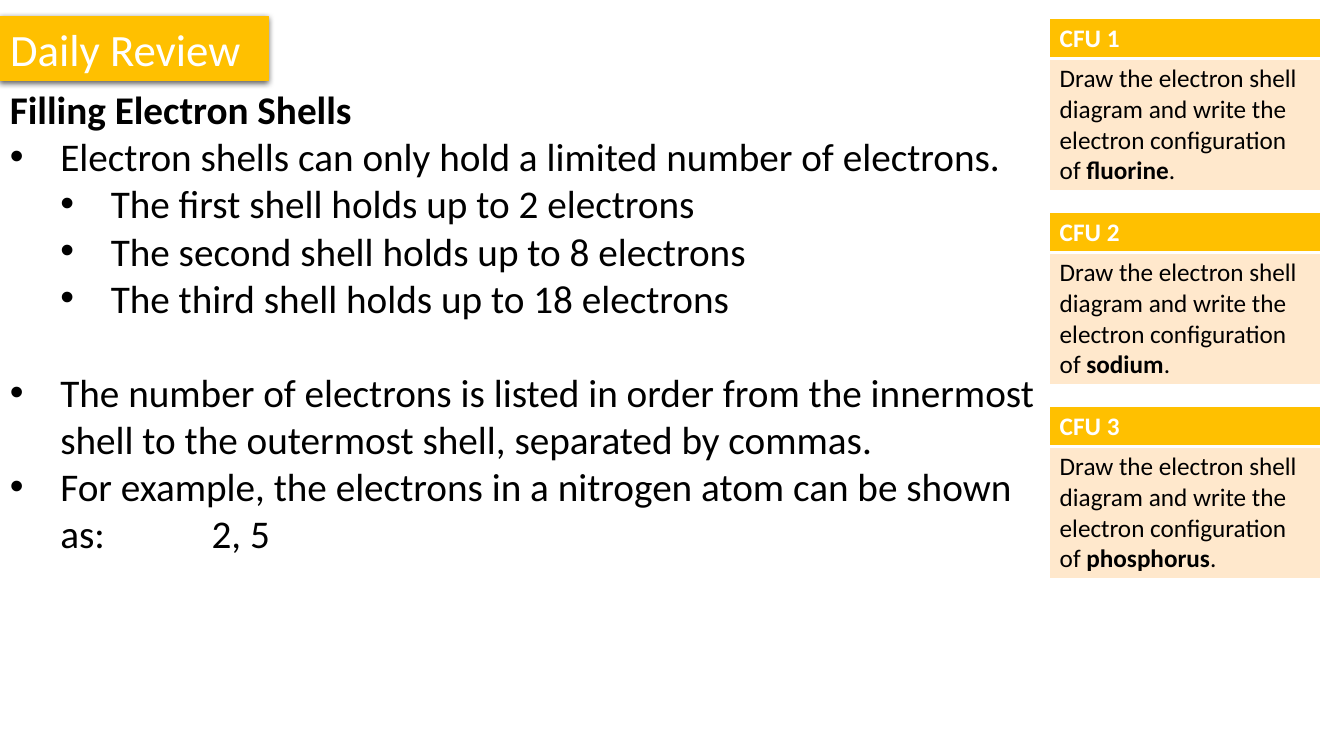
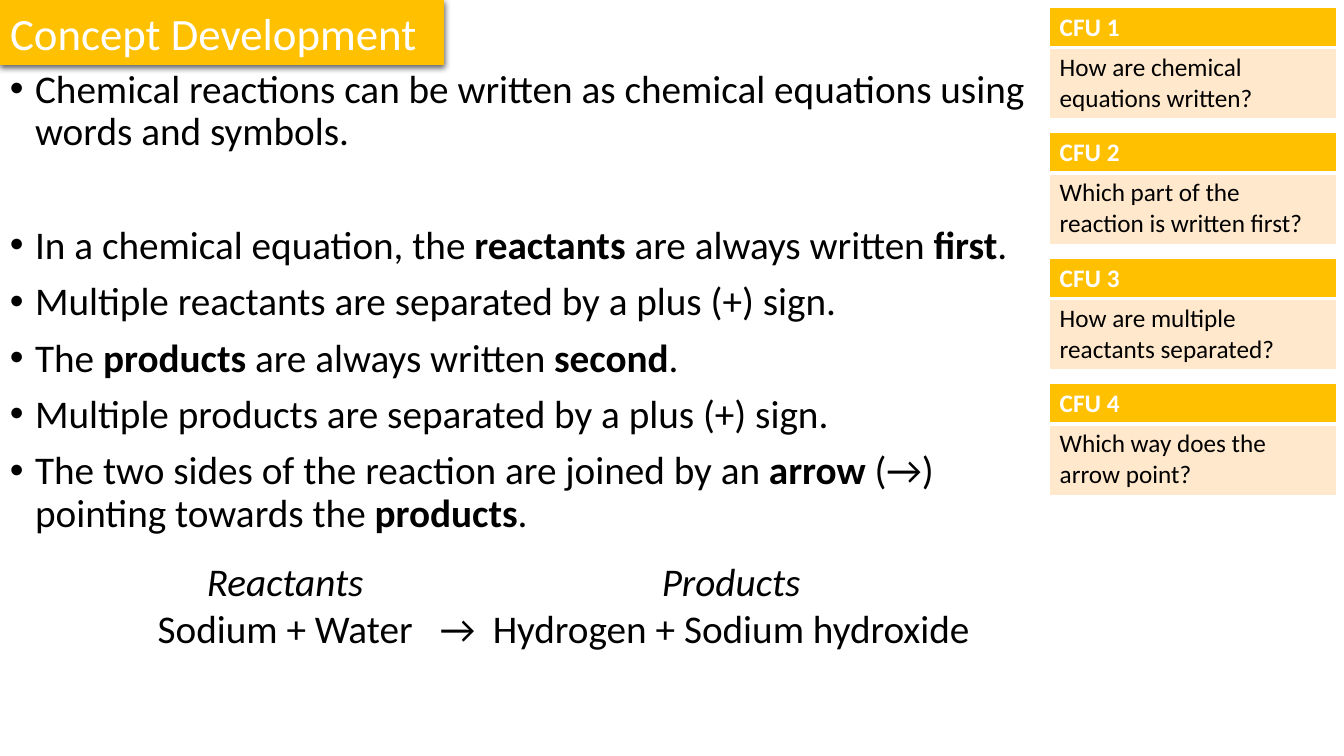
import pptx
import pptx.dml.color
import pptx.enum.text
import pptx.oxml
import pptx.oxml.ns
import pptx.util

RGB = pptx.dml.color.RGBColor
GOLD = RGB(0xFF, 0xC0, 0x00)
CREAM = RGB(0xFF, 0xE8, 0xCC)
WHITE = RGB(0xFF, 0xFF, 0xFF)
BLACK = RGB(0x00, 0x00, 0x00)

FONT = "Calibri"
WIDE = pptx.util.Inches(13.33)
HIGH = pptx.util.Inches(7.5)
TITLE = {"size": pptx.util.Pt(32), "color": WHITE, "bold": False}
TEXT = {"size": pptx.util.Pt(28), "color": BLACK}
HEAD = {"size": pptx.util.Pt(18), "color": WHITE, "bold": True}
CARD = {"size": pptx.util.Pt(18), "color": BLACK}
ALIGN = pptx.enum.text.PP_ALIGN
FIT = pptx.enum.text.MSO_AUTO_SIZE
ANCHOR = pptx.enum.text.MSO_ANCHOR
SPACE = pptx.oxml.ns.nsdecls("a")

SIDE = 78.1
SHADOW = (
    f'<a:effectLst {SPACE}><a:outerShdw blurRad="57150" dist="19050" dir="5400000" '
    'algn="ctr" rotWithShape="0"><a:srgbClr val="000000"><a:alpha val="63000"/>'
    "</a:srgbClr></a:outerShdw></a:effectLst>"
)


def col(count):
    return round(WIDE * count / 100)


def row(count):
    return round(HIGH * count / 100)


def area(box):
    left, top, width, height = box
    return col(left), row(top), col(width), row(height)


def style(item, form):
    for key, value in form.items():
        setattr(item, key, value)


def node(text):
    return pptx.oxml.parse_xml(text)


def write(para, text, form):
    for index, part in enumerate(text.split("*")):
        if part:
            run = para.add_run()
            run.text = part
            run.font.name = FONT
            look = {"bold": index % 2 == 1, **form}
            run.font.color.rgb = look.pop("color")
            style(run.font, look)


def bullet(para, left, hang):
    props = para._p.get_or_add_pPr()
    props.set("marL", str(pptx.util.Inches(left)))
    props.set("indent", str(-pptx.util.Inches(hang)))
    props.append(node(f'<a:buFont {SPACE} typeface="Arial"/>'))
    props.append(node(f'<a:buChar {SPACE} char="•"/>'))


def tab(para, place):
    stop = pptx.util.Inches(place)
    para._p.get_or_add_pPr().append(
        node(f'<a:tabLst {SPACE}><a:tab pos="{stop}" algn="l"/></a:tabLst>')
    )


def lines(frame, count):
    yield frame.paragraphs[0]
    for _ in range(count - 1):
        yield frame.add_paragraph()


def banner(slide, box, text):
    title = slide.shapes.title
    style(title, dict(zip(("left", "top", "width", "height"), area(box))))
    props = title._element.spPr
    props.append(node(f'<a:prstGeom {SPACE} prst="homePlate"><a:avLst/></a:prstGeom>'))
    title.fill.solid()
    title.fill.fore_color.rgb = GOLD
    title.line.color.rgb = GOLD
    title.line.width = pptx.util.Pt(0.75)
    props.append(node(SHADOW))
    frame = title.text_frame
    style(frame, {"word_wrap": False, "auto_size": FIT.NONE,
                  "vertical_anchor": ANCHOR.MIDDLE})
    para = frame.paragraphs[0]
    para.alignment = ALIGN.LEFT
    write(para, text, TITLE)


def notes(slide, box, items, pace=1.0):
    frame = slide.shapes.add_textbox(*area(box)).text_frame
    frame.word_wrap = True
    for para, item in zip(lines(frame, len(items)), items):
        text, left, hang, gap = item
        para.line_spacing = pace
        para.space_before = pptx.util.Pt(gap)
        if hang:
            bullet(para, left, hang)
        if "\t" in text:
            tab(para, 2)
        write(para, text, TEXT)


def edge(cell, sides):
    props = cell._tc.get_or_add_tcPr()
    for side, width in sides.items():
        props.append(node(
            f'<a:ln{side} {SPACE} w="{pptx.util.Pt(width)}"><a:solidFill>'
            f'<a:srgbClr val="{WHITE}"/></a:solidFill></a:ln{side}>'
        ))


def card(slide, box, name, text):
    table = slide.shapes.add_table(2, 1, *area(box)).table
    table.horz_banding = False
    head = row(5.2)
    table.rows[0].height = head
    table.rows[1].height = row(box[3]) - head
    parts = (
        (name, HEAD, GOLD, {"L": 1, "R": 1, "T": 1, "B": 3}),
        (text, CARD, CREAM, {"L": 1, "R": 1, "T": 3, "B": 1}),
    )
    for index, (words, form, fill, sides) in enumerate(parts):
        cell = table.cell(index, 0)
        edge(cell, sides)
        cell.fill.solid()
        cell.fill.fore_color.rgb = fill
        write(cell.text_frame.paragraphs[0], words, form)


def cards(slide, box, step, texts):
    left, top, width, height = box
    for index, text in enumerate(texts):
        place = (left, top + index * step, width, height)
        card(slide, place, f"CFU {index + 1}", text)


def label(slide, box, items):
    frame = slide.shapes.add_textbox(*area(box)).text_frame
    style(frame, {"word_wrap": False, "auto_size": FIT.SHAPE_TO_FIT_TEXT})
    for para, (text, slant) in zip(lines(frame, len(items)), items):
        para.alignment = ALIGN.CENTER
        write(para, text, {**TEXT, "italic": slant})


def formula(slide, box):
    left, top, width, height = box
    label(slide, (left, top, width * 0.34, height),
          [("Reactants", True), ("Sodium + Water", False)])
    label(slide, (left + width * 0.4, top, width * 0.6, height),
          [("Products", True), ("Hydrogen + Sodium hydroxide", False)])
    label(slide, (left + width * 0.34, top + height * 0.45, width * 0.07, height * 0.55),
          [("→", False)])


def review(slide):
    banner(slide, (0, 2.13, 19.95, 8.53), "Daily Review")
    notes(slide, (0, 10.67, SIDE, 76.8), [
        ("*Filling Electron Shells*", 0, 0, 0),
        ("Electron shells can only hold a limited number of electrons.", 0.5, 0.5, 0),
        ("The first shell holds up to 2 electrons", 1, 0.5, 0),
        ("The second shell holds up to 8 electrons", 1, 0.5, 0),
        ("The third shell holds up to 18 electrons", 1, 0.5, 0),
        ("The number of electrons is listed in order from the innermost shell "
         "to the outermost shell, separated by commas.", 0.5, 0.5, 34),
        ("For example, the electrons in a nitrogen atom can be shown as:\t2, 5",
         0.5, 0.5, 0),
    ])
    cards(slide, (SIDE, 2.4, 20.18, 22.67), 25.67, [
        f"Draw the electron shell diagram and write the electron configuration of *{name}*."
        for name in ("fluorine", "sodium", "phosphorus")
    ])


def concept(slide):
    banner(slide, (0, 0, 33, 8.53), "Concept Development")
    items = (
        ("Chemical reactions can be written as chemical equations using words and symbols.", 0),
        ("In a chemical equation, the *reactants* are always written *first*.", 51),
        ("Multiple reactants are separated by a plus (+) sign.", 10),
        ("The *products *are always written *second*.", 10),
        ("Multiple products are separated by a plus (+) sign.", 10),
        ("The two sides of the reaction are joined by an *arrow* (→) "
         "pointing towards the *products*.", 10),
    )
    notes(slide, (0, 8.53, SIDE, 71.6),
          [(text, 0.25, 0.25, gap) for text, gap in items], 0.9)
    cards(slide, (SIDE, 0.93, 21.38, 14.67), 16.6, [
        "How are chemical equations written?",
        "Which part of the reaction is written first?",
        "How are multiple reactants separated?",
        "Which way does the arrow point?",
    ])
    formula(slide, (10.58, 73.07, 62.6, 13.87))


def main():
    deck = pptx.Presentation()
    style(deck, {"slide_width": WIDE, "slide_height": HIGH})
    for build in (review, concept):
        build(deck.slides.add_slide(deck.slide_layouts[5]))
    deck.save("out.pptx")


if __name__ == "__main__":
    main()
